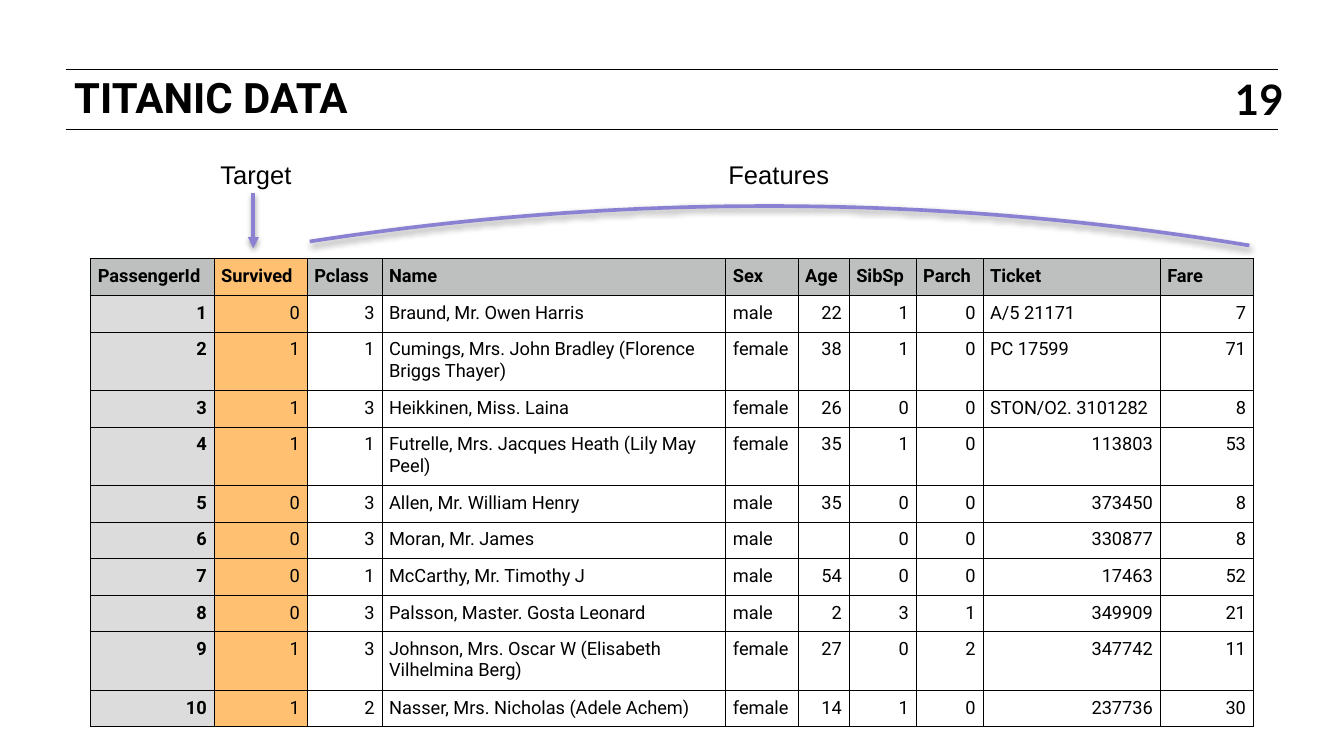
"""Build the Titanic data slide: target and features marked above a passenger table."""
from lxml import etree
from pptx import Presentation
from pptx.dml.color import RGBColor
from pptx.enum.shapes import MSO_CONNECTOR
from pptx.enum.text import MSO_ANCHOR, PP_ALIGN
from pptx.oxml.ns import qn
from pptx.util import Inches, Pt

STRAIGHT = MSO_CONNECTOR.STRAIGHT
TOP, MIDDLE = MSO_ANCHOR.TOP, MSO_ANCHOR.MIDDLE
LEFT, CENTER, RIGHT = PP_ALIGN.LEFT, PP_ALIGN.CENTER, PP_ALIGN.RIGHT

WIDTH, HEIGHT = 10.24, 5.75
COLORS = {"ink": "000000", "header": "BEC0BF", "index": "DCDCDC",
          "target": "FFC072", "mark": "8B81D2"}

TEXTS = [
    ("19", (9.4, 0.56, 0.39, 0.38), 0, 23, "Lato", True, CENTER, MIDDLE),
    ("TITANIC DATA", (0.51, 0.55, 8.61, 1.11), 4, 23, "Roboto", True, LEFT, TOP),
    ("Features", (5.5, 1.16, 0.88, 0.32), 3.6, 14, "Arial", False, LEFT, TOP),
    ("Target", (1.63, 1.16, 0.65, 0.32), 3.6, 14, "Arial", False, LEFT, TOP),
]
RULE_X, RULE_YS = (0.5, 9.74), (0.53, 0.99)
ARROW = (1.93, 1.47, 1.93, 1.89)
ARC = [(2.36, 1.84), (4.75, 1.47), (7.14, 1.48), (9.52, 1.87)]
ARC_STEPS = 48

TABLE_LEFT, TABLE_TOP = 0.69, 1.97
ROW_POINTS, CELL_INSET = 20, 4
THIN, THICK = 0.35, 0.75
COLUMNS = [("PassengerId", 0.94), ("Survived", 0.71), ("Pclass", 0.57),
           ("Name", 2.62), ("Sex", 0.55), ("Age", 0.39), ("SibSp", 0.51),
           ("Parch", 0.51), ("Ticket", 1.35), ("Fare", 0.71)]
PASSENGERS = [
    (1, 0, 3, "Braund, Mr. Owen Harris", "male", 22, 1, 0, "A/5 21171", 7),
    (2, 1, 1, "Cumings, Mrs. John Bradley (Florence Briggs Thayer)", "female",
     38, 1, 0, "PC 17599", 71),
    (3, 1, 3, "Heikkinen, Miss. Laina", "female", 26, 0, 0, "STON/O2. 3101282", 8),
    (4, 1, 1, "Futrelle, Mrs. Jacques Heath (Lily May Peel)", "female",
     35, 1, 0, 113803, 53),
    (5, 0, 3, "Allen, Mr. William Henry", "male", 35, 0, 0, 373450, 8),
    (6, 0, 3, "Moran, Mr. James", "male", "", 0, 0, 330877, 8),
    (7, 0, 1, "McCarthy, Mr. Timothy J", "male", 54, 0, 0, 17463, 52),
    (8, 0, 3, "Palsson, Master. Gosta Leonard", "male", 2, 3, 1, 349909, 21),
    (9, 1, 3, "Johnson, Mrs. Oscar W (Elisabeth Vilhelmina Berg)", "female",
     27, 0, 2, 347742, 11),
    (10, 1, 2, "Nasser, Mrs. Nicholas (Adele Achem)", "female", 14, 1, 0, 237736, 30),
]


def rgb(name):
    return RGBColor.from_string(COLORS[name])


def add_child(parent, tag, **attrs):
    return etree.SubElement(parent, qn(tag), {k: str(v) for k, v in attrs.items()})


def style_text(p, size, font, bold, align):
    p.alignment = align
    for r in p.runs:
        r.font.size, r.font.name, r.font.bold = Pt(size), font, bold
        r.font.color.rgb = rgb("ink")


def set_insets(box, inset):
    box.margin_left = box.margin_right = Pt(inset)
    box.margin_top = box.margin_bottom = Pt(inset)


def add_text(s, text, place, inset, size, font, bold, align, anchor):
    tf = s.shapes.add_textbox(*map(Inches, place)).text_frame
    tf.text = text
    tf.word_wrap = False
    tf.vertical_anchor = anchor
    set_insets(tf, inset)
    style_text(tf.paragraphs[0], size, font, bold, align)
    return tf


def style_line(sp, color, width, shadow=False):
    sp.line.color.rgb = rgb(color)
    sp.line.width = Pt(width)
    sppr = sp._element.spPr
    for old in sppr.findall(qn("a:effectLst")):
        sppr.remove(old)
    effects = add_child(sppr, "a:effectLst")
    if shadow:
        outer = add_child(effects, "a:outerShdw", blurRad=Pt(3), dist=Pt(1.6),
                          dir=90 * 60000, rotWithShape=0)
        add_child(add_child(outer, "a:srgbClr", val=COLORS["ink"]), "a:alpha", val=38000)


def add_line(s, ends, color, width, shadow=False):
    line = s.shapes.add_connector(STRAIGHT, *map(Inches, ends))
    style_line(line, color, width, shadow)
    return line


def bezier(points, t):
    weights = ((1 - t) ** 3, 3 * t * (1 - t) ** 2, 3 * t * t * (1 - t), t ** 3)
    return tuple(Inches(sum(w * pt[axis] for w, pt in zip(weights, points)))
                 for axis in (0, 1))


def add_arc(s):
    points = [bezier(ARC, i / ARC_STEPS) for i in range(ARC_STEPS + 1)]
    builder = s.shapes.build_freeform(*points[0])
    builder.add_line_segments(points[1:], close=False)
    arc = builder.convert_to_shape()
    arc.fill.background()
    style_line(arc, "mark", 2, shadow=True)


def set_borders(cell, row):
    widths = {"L": THIN, "R": THIN, "T": THICK if row == 1 else THIN,
              "B": THICK if row == 0 else THIN}
    for side, width in widths.items():
        ln = add_child(cell._tc.get_or_add_tcPr(), f"a:ln{side}", w=Pt(width))
        add_child(add_child(ln, "a:solidFill"), "a:srgbClr", val=COLORS["ink"])


def cell_fill(row, col):
    if col == 1:
        return "target"
    if row == 0:
        return "header"
    return "index" if col == 0 else None


def fill_cell(cell, value, row, col):
    set_insets(cell, CELL_INSET)
    set_borders(cell, row)
    fill = cell_fill(row, col)
    if fill:
        cell.fill.solid()
        cell.fill.fore_color.rgb = rgb(fill)
    else:
        cell.fill.background()
    cell.text_frame.text = str(value)
    p = cell.text_frame.paragraphs[0]
    style_text(p, 10, "Roboto", row == 0 or col == 0,
               RIGHT if isinstance(value, int) else LEFT)
    if not p.runs:
        add_child(p._p, "a:endParaRPr", sz=1000)


def add_passengers(s):
    names, widths = zip(*COLUMNS)
    rows = [names, *PASSENGERS]
    table = s.shapes.add_table(
        len(rows), len(names), Inches(TABLE_LEFT), Inches(TABLE_TOP),
        Inches(sum(widths)), Pt(ROW_POINTS * len(rows))).table
    table.first_row = table.horz_banding = False
    for column, width in zip(table.columns, widths):
        column.width = Inches(width)
    for i, values in enumerate(rows):
        table.rows[i].height = Pt(ROW_POINTS)
        for j, value in enumerate(values):
            fill_cell(table.cell(i, j), value, i, j)


def main():
    prs = Presentation()
    prs.slide_width, prs.slide_height = Inches(WIDTH), Inches(HEIGHT)
    s = prs.slides.add_slide(prs.slide_layouts[6])
    for y in RULE_YS:
        add_line(s, (RULE_X[0], y, RULE_X[1], y), "ink", 0.5)
    for item in TEXTS:
        tf = add_text(s, *item)
        if item[0] == "TITANIC DATA":
            tf.word_wrap = True
            tf.paragraphs[0].line_spacing = Pt(23)
    add_passengers(s)
    add_arc(s)
    arrow = add_line(s, ARROW, "mark", 2, shadow=True)
    add_child(arrow.line._get_or_add_ln(), "a:tailEnd", type="triangle")
    prs.save("out.pptx")


if __name__ == "__main__":
    main()
